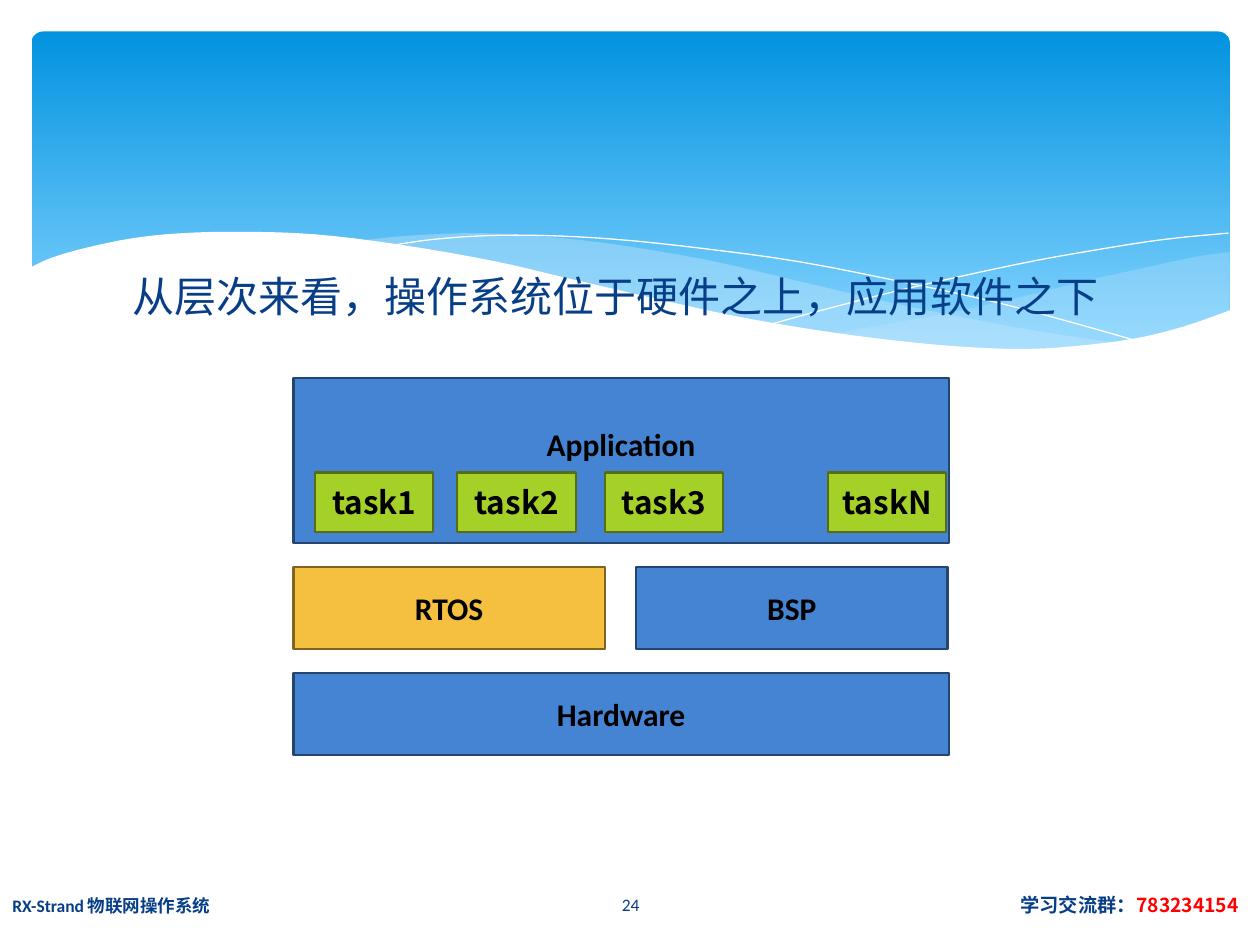
from dataclasses import dataclass

import pptx
import pptx.dml.color
import pptx.enum.shapes
import pptx.enum.text
import pptx.oxml
import pptx.oxml.ns
import pptx.util

MID = pptx.enum.text.MSO_ANCHOR.MIDDLE
TOP = pptx.enum.text.MSO_ANCHOR.TOP
LEFT = pptx.enum.text.PP_ALIGN.LEFT
CENTER = pptx.enum.text.PP_ALIGN.CENTER
SHAPE = pptx.enum.shapes.MSO_SHAPE


@dataclass(frozen=True)
class Theme:
    navy: str = "073E87"
    red: str = "FF0000"
    black: str = "000000"
    white: str = "FFFFFF"
    mist: str = "C6E7FC"
    sky: tuple = ("0293E0", "83D3FE")
    blue: tuple = ("4584D3", "24456E")
    gold: tuple = ("F5C040", "806421")
    lime: tuple = ("A5D028", "566D15")
    edge: float = 1.25
    head: int = 24
    label: int = 18
    group: int = 11
    foot: int = 10
    sans: str = "Calibri"
    asian: str = "Noto Sans CJK SC"
    digit: str = "Noto Sans CJK KR"


def rgb(code):
    return pptx.dml.color.RGBColor.from_string(code)


def smooth(knots, steps=4):
    """Return points on a Catmull-Rom curve through the knots."""
    ends = [knots[0], *knots, knots[-1]]
    points = [knots[0]]
    for a, b, c, d in zip(ends, ends[1:], ends[2:], ends[3:]):
        for i in range(1, steps + 1):
            t = i / steps
            points.append(tuple(
                (2 * q + (r - p) * t + (2 * p - 5 * q + 4 * r - s) * t ** 2
                 + (3 * q - p - 3 * r + s) * t ** 3) / 2
                for p, q, r, s in zip(a, b, c, d)))
    return points


class Page:
    """Draws on one slide, with lengths in a grid of 100 columns by 75 rows."""

    def __init__(self, deck, theme):
        self.theme = theme
        self.slide = deck.slides.add_slide(deck.slide_layouts[6])
        self.col = deck.slide_width / 100
        self.row = deck.slide_height / 75

    def place(self, x, y):
        return round(x * self.col), round(y * self.row)

    def area(self, x, y, w, h):
        return *self.place(x, y), *self.place(w, h)

    def fill_text(self, frame, runs, anchor=MID, align=CENTER):
        """Add runs of (text, size, colour, bold, font) as one paragraph."""
        frame.word_wrap = True
        frame.vertical_anchor = anchor
        para = frame.paragraphs[0]
        para.alignment = align
        for text, size, color, bold, font in runs:
            run = para.add_run()
            run.text = text
            run.font.size = pptx.util.Pt(size)
            run.font.bold = bold
            run.font.name = font
            run.font.color.rgb = rgb(color)
            east = pptx.oxml.parse_xml(
                f'<a:ea {pptx.oxml.ns.nsdecls("a")} typeface="{self.theme.asian}"/>')
            run.font._element.find(pptx.oxml.ns.qn("a:latin")).addnext(east)
        return para

    def text(self, box, runs, anchor=MID, align=CENTER):
        shape = self.slide.shapes.add_textbox(*self.area(*box))
        return self.fill_text(shape.text_frame, runs, anchor, align)

    def block(self, box, label, paint, font=None):
        theme = self.theme
        shape = self.slide.shapes.add_shape(SHAPE.RECTANGLE, *self.area(*box))
        shape.shadow.inherit = False
        shape.fill.solid()
        shape.fill.fore_color.rgb = rgb(paint[0])
        shape.line.color.rgb = rgb(paint[1])
        shape.line.width = pptx.util.Pt(theme.edge)
        run = (label, theme.label, theme.black, True, font or theme.sans)
        self.fill_text(shape.text_frame, [run])
        return shape

    def banner(self, box):
        shape = self.slide.shapes.add_shape(
            SHAPE.ROUNDED_RECTANGLE, *self.area(*box))
        shape.adjustments[0] = 0.034
        shape.shadow.inherit = False
        shape.line.fill.background()
        shape.fill.gradient()
        shape.fill.gradient_angle = 270
        stops = shape.fill.gradient_stops
        for stop, spot, color in zip(stops, (0, 0.9), self.theme.sky):
            stop.position = spot
            stop.color.rgb = rgb(color)

    def trace(self, points, closed):
        spots = [self.place(*point) for point in points]
        pen = self.slide.shapes.build_freeform(*spots[0])
        pen.add_line_segments(spots[1:], close=closed)
        shape = pen.convert_to_shape()
        shape.shadow.inherit = False
        return shape

    def wave(self, points, color, alpha=100):
        shape = self.trace(points, True)
        shape.line.fill.background()
        shape.fill.solid()
        shape.fill.fore_color.rgb = rgb(color)
        if alpha < 100:
            tone = shape._element.spPr.find(".//" + pptx.oxml.ns.qn("a:srgbClr"))
            tone.append(pptx.oxml.parse_xml(
                f'<a:alpha {pptx.oxml.ns.nsdecls("a")} val="{alpha * 1000}"/>'))

    def hair(self, knots):
        shape = self.trace(smooth(knots), False)
        shape.fill.background()
        shape.line.color.rgb = rgb(self.theme.white)
        shape.line.width = 0


def header(page):
    theme = page.theme
    page.banner((2.5, 2.5, 95.1, 27))
    page.wave(
        smooth([(97.6, 20), (94.8, 20.4), (90.6, 21.3), (86.1, 22.3),
                (80.5, 23.7), (75.3, 24.8), (70.6, 25.7), (66.1, 26.5)])
        + smooth([(66.1, 26.5), (70.5, 27.1), (74.5, 27.5), (79.2, 27.7),
                  (83.5, 27.7), (88.1, 27.3), (92.1, 26.5), (94.9, 25.7),
                  (97.6, 24.7)]), theme.mist, 29)
    page.wave(
        smooth([(89.3, 27.3), (83.7, 26.5), (77.5, 25.4), (70.6, 24),
                (62.9, 22.2), (56.9, 20.8), (51.4, 19.8), (46.5, 19.1),
                (42, 18.7), (38, 18.5), (34.4, 18.6), (31.3, 18.8),
                (28.6, 19.1)])
        + smooth([(28.6, 19.1), (34.2, 19.9), (40.4, 21.1), (44.9, 22.2),
                  (53, 24), (60.1, 25.5), (66.5, 26.6), (72.2, 27.4),
                  (77.3, 27.7), (81.8, 27.8), (85.7, 27.7), (89.3, 27.3)]),
        theme.mist, 40)
    page.hair([(30.9, 19.5), (34.4, 19), (38.7, 18.7), (43.3, 18.7),
               (48.9, 19), (55.6, 19.7), (63.6, 20.8), (72.7, 22.6),
               (79.5, 24.1), (86.9, 26.1), (90.7, 27.2)])
    page.hair([(61.3, 25.7), (65.3, 24.6), (72, 22.9), (80.6, 21),
               (86.6, 19.9), (92.4, 19), (97.5, 18.5)])
    page.wave(
        smooth([(2.3, 21.3), (4, 20.5), (6.7, 19.7), (10.6, 18.9),
                (14.6, 18.5), (19.3, 18.4), (25, 18.6), (31.6, 19.4),
                (39.1, 20.7), (44.7, 22), (50.3, 23.3), (57.9, 25),
                (64.8, 26.2), (70.8, 27), (76.1, 27.5), (80.9, 27.7),
                (85, 27.5), (89.9, 26.9), (94, 25.9), (97.7, 24.6)])
        + [(97.7, 32.9), (2.3, 32.9)], theme.white)


def footer(page):
    theme = page.theme
    para = page.text((0, 69.8, 100, 4), [
        ("RX-Strand 物联网操作系统\t", theme.foot, theme.navy, True, theme.sans),
        ("学习交流群：", theme.group, theme.navy, True, theme.sans),
        ("783234154", theme.group, theme.red, True, theme.digit)], align=LEFT)
    para._p.get_or_add_pPr().append(pptx.oxml.parse_xml(
        f'<a:tabLst {pptx.oxml.ns.nsdecls("a")}>'
        f'<a:tab pos="{round(80 * page.col)}" algn="l"/></a:tabLst>'))
    page.text((43.7, 69.8, 12.7, 4),
              [("24", theme.foot, theme.navy, False, theme.sans)])


def layers(page):
    theme = page.theme
    app = page.block((23.3, 30, 52, 13.1), "Application", theme.blue)
    app.text_frame.margin_bottom = round(3.1 * page.row)
    page.block((23.3, 45, 24.7, 6.5), "RTOS", theme.gold)
    page.block((50.5, 45, 24.7, 6.5), "BSP", theme.blue)
    page.block((23.3, 53.4, 52, 6.5), "Hardware", theme.blue)
    for x, mark in zip((25, 36.3, 48, 65.7), "123N"):
        page.block((x, 37.5, 9.4, 4.7), "task" + mark, theme.lime, theme.asian)


def main():
    deck = pptx.Presentation()
    deck.slide_width = pptx.util.Inches(10)
    deck.slide_height = pptx.util.Inches(7.5)
    theme = Theme()
    page = Page(deck, theme)
    header(page)
    page.text((9.5, 21, 81, 46),
              [("从层次来看，操作系统位于硬件之上，应用软件之下",
                theme.head, theme.navy, False, theme.sans)], TOP, LEFT)
    footer(page)
    layers(page)
    deck.save("out.pptx")


if __name__ == "__main__":
    main()
